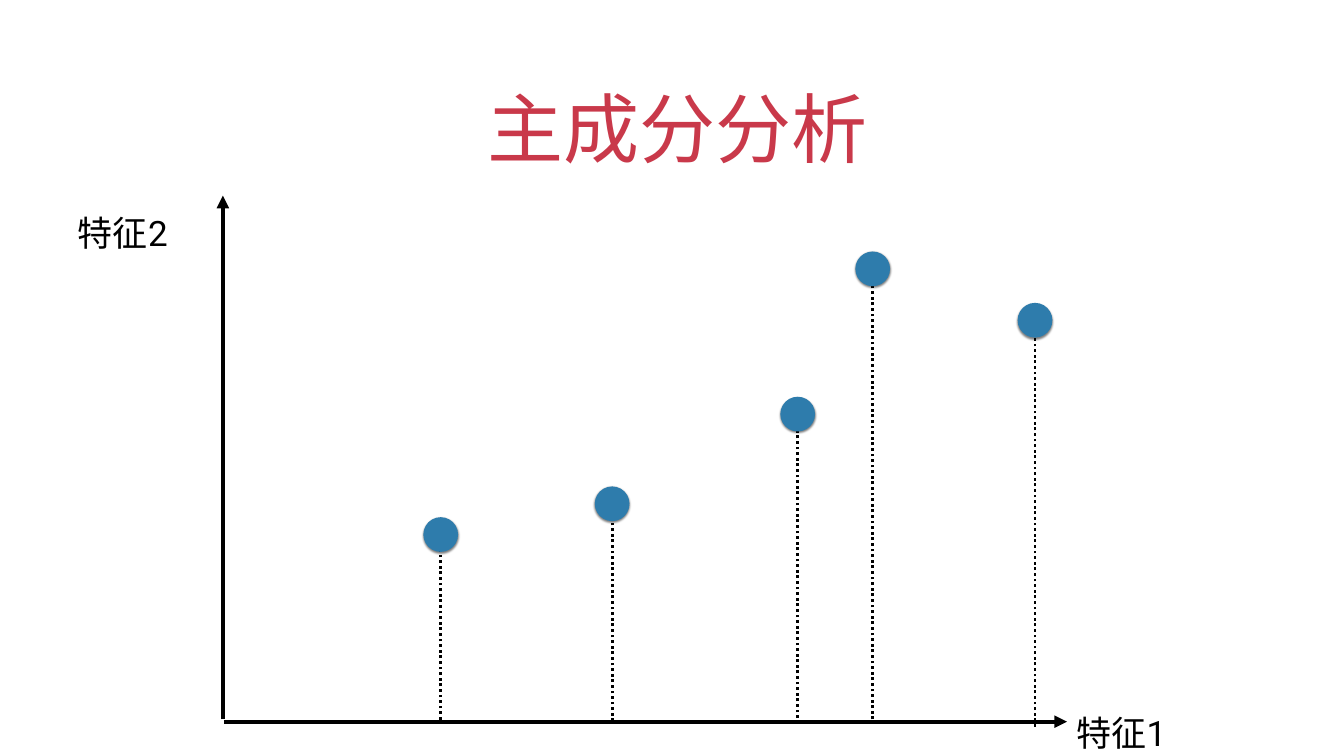
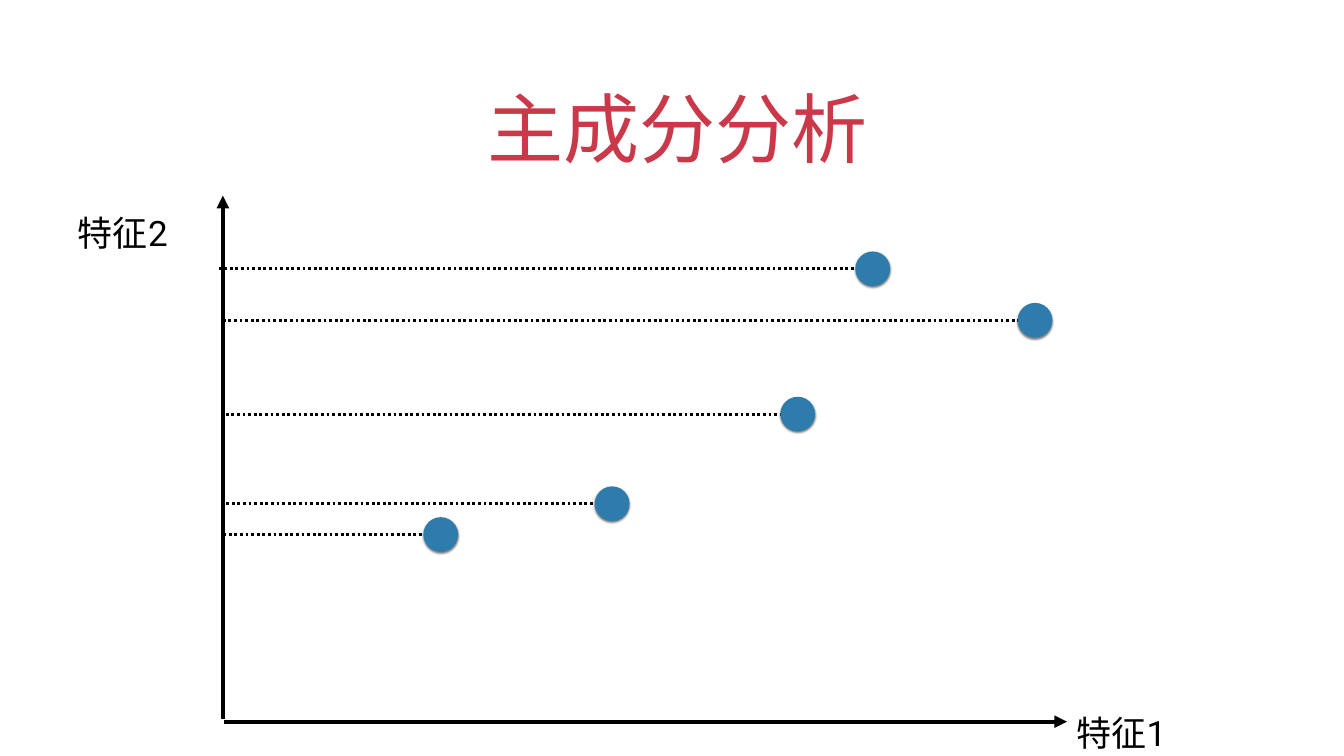
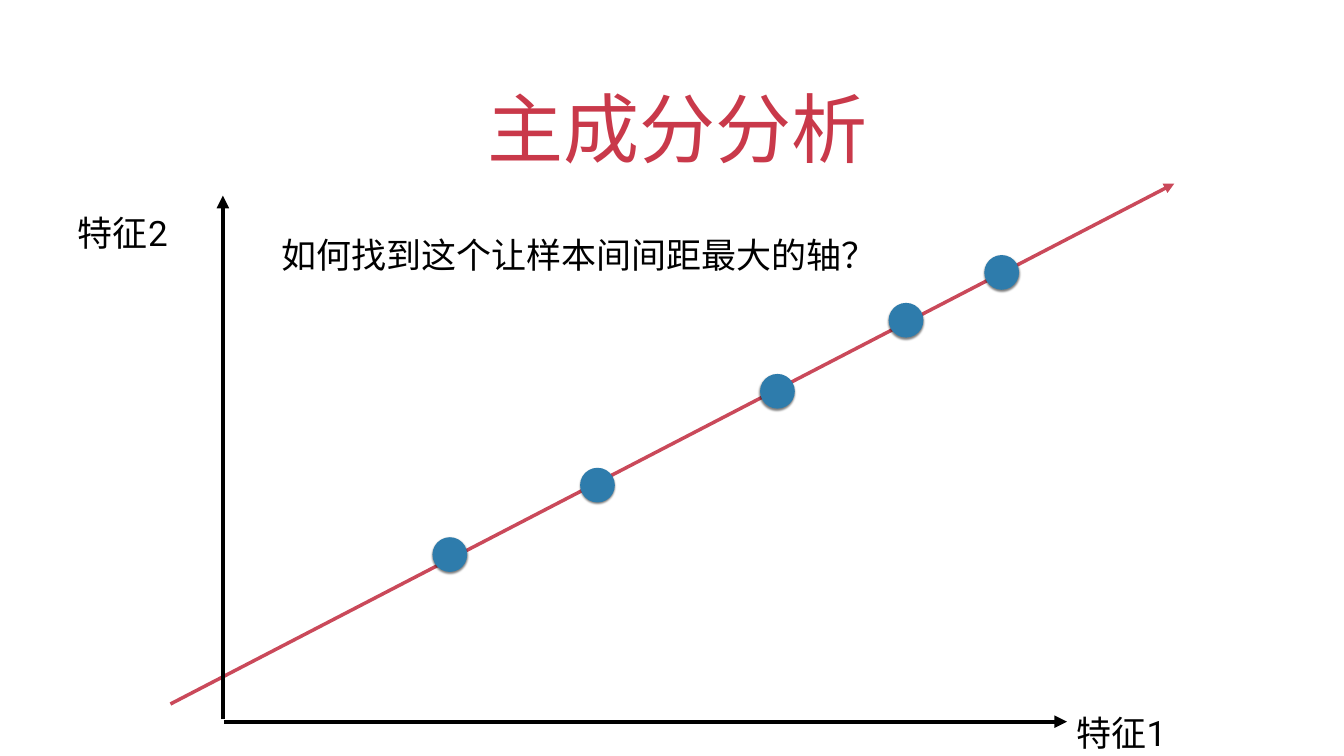
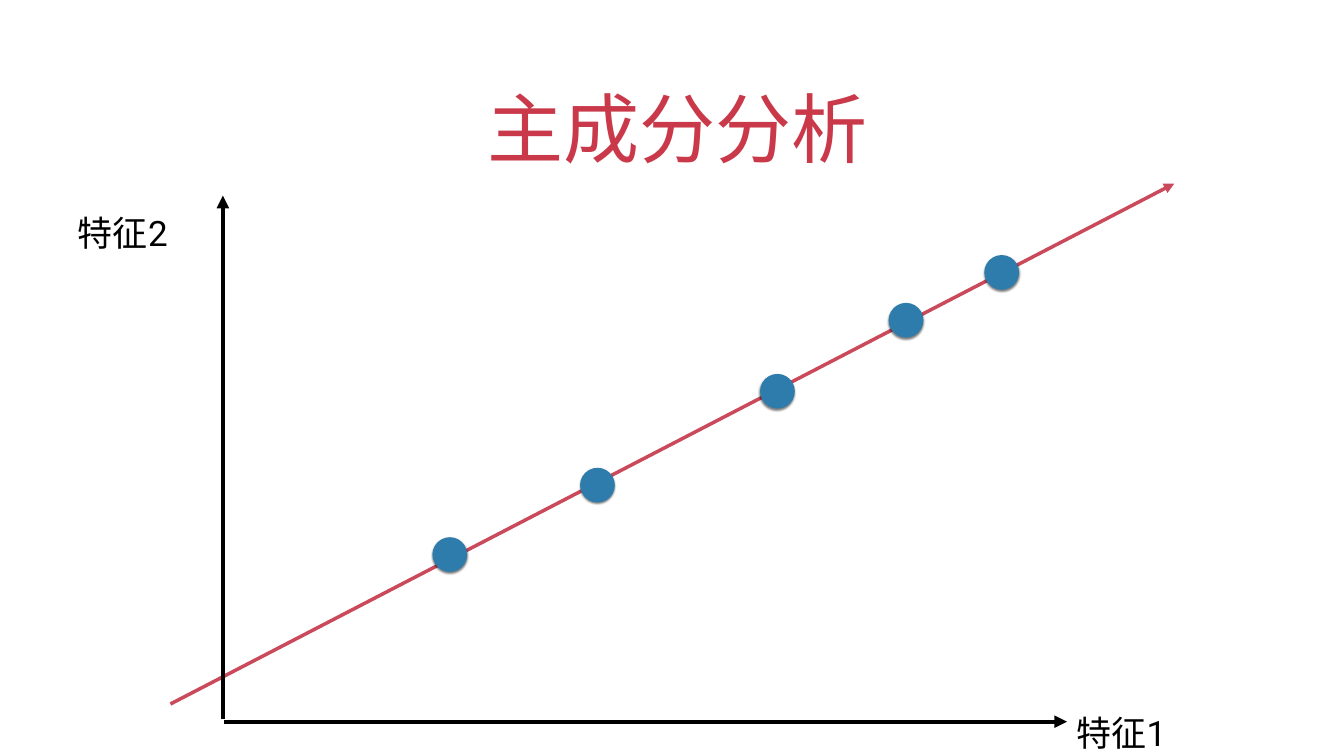
from lxml.etree import SubElement
from pptx import Presentation
from pptx.dml.color import RGBColor
from pptx.enum.dml import MSO_LINE
from pptx.enum.shapes import MSO_CONNECTOR, MSO_SHAPE
from pptx.enum.text import MSO_ANCHOR, MSO_AUTO_SIZE, PP_ALIGN
from pptx.oxml.ns import qn
from pptx.util import Cm, Pt

# Content: all places in centimetres
TITLE = "主成分分析"
TITLE_BOX = (4.93, 3.23, 57.86, 5.64)
QUESTION = ("如何找到这个让样本间间距最大的轴？", (14.02, 11.46, 28.6, 2.74), 1)
AXIS_LABELS = [
    ("特征1", (54.1, 35, 9.86, 2.74), 1.5),
    ("特征2", (3.78, 9.83, 9.86, 2.74), 1.5),
]
AXES = [
    ((11.28, 36.37), (53.77, 36.37)),
    ((11.23, 36.25), (11.23, 9.86)),
]
COMPONENT = ((8.59, 35.48), (59.18, 9.25))

# Each sample: centre x, centre y, foot on axis 1 (y), foot on axis 2 (x)
SAMPLES = [
    (22.21, 26.94, 36.27, 11.25),
    (30.85, 25.39, 36.35, 11.4),
    (40.2, 20.87, 36.47, 11.38),
    (43.98, 13.55, 36.25, 11.02),
    (52.16, 16.14, 36.63, 11.23),
]
PROJECTED = [(22.67, 27.95), (30.11, 24.45), (39.18, 19.72),
             (45.66, 16.14), (50.48, 13.73)]

DROPS_TO_FEATURE_1 = [((x, foot), (x, y)) for x, y, foot, _ in SAMPLES]
DROPS_TO_FEATURE_2 = [((foot, y), (x, y)) for x, y, _, foot in SAMPLES]
SAMPLE_CENTRES = [(x, y) for x, y, _, _ in SAMPLES]

SLIDES = [
    {"drops": DROPS_TO_FEATURE_1, "dots": SAMPLE_CENTRES, "labels": AXIS_LABELS},
    {"drops": DROPS_TO_FEATURE_2, "dots": SAMPLE_CENTRES, "labels": AXIS_LABELS},
    {"component": COMPONENT, "dots": PROJECTED, "labels": AXIS_LABELS + [QUESTION]},
    {"component": COMPONENT, "dots": PROJECTED, "labels": AXIS_LABELS},
]

# Shared style
FONT = "Roboto"
RED, ROSE, BLUE, BLACK = "C9394A", "CA495A", "2E7CAC", "000000"
DOT_SIZE = 1.75
INSET = Cm(0.15)


def colour(hex_code):
    return RGBColor.from_string(hex_code)


def write(frame, text, size, hex_code, anchor):
    frame.word_wrap = True
    frame.vertical_anchor = anchor
    frame.margin_left = frame.margin_right = INSET
    frame.margin_top = frame.margin_bottom = INSET
    paragraph = frame.paragraphs[0]
    run = paragraph.add_run()
    run.text = text
    run.font.name = FONT
    run.font.size = Pt(size)
    run.font.color.rgb = colour(hex_code)
    return paragraph


def add_title(slide):
    title = slide.shapes.title
    title.left, title.top, title.width, title.height = map(Cm, TITLE_BOX)
    paragraph = write(title.text_frame, TITLE, 108.6, RED, MSO_ANCHOR.BOTTOM)
    title.text_frame.auto_size = MSO_AUTO_SIZE.NONE
    paragraph.alignment = PP_ALIGN.CENTER
    properties = paragraph._p.get_or_add_pPr()
    properties.set("marL", "0")
    properties.set("indent", str(Cm(0.61)))


def add_label(slide, text, box, spacing):
    label = slide.shapes.add_textbox(*map(Cm, box))
    paragraph = write(label.text_frame, text, 50, BLACK, MSO_ANCHOR.MIDDLE)
    paragraph.line_spacing = float(spacing)
    label.text_frame.auto_size = MSO_AUTO_SIZE.SHAPE_TO_FIT_TEXT


def add_line(slide, start, end, width, hex_code=BLACK, dotted=False):
    line = slide.shapes.add_connector(MSO_CONNECTOR.STRAIGHT, *map(Cm, start + end))
    line.line.color.rgb = colour(hex_code)
    line.line.width = Pt(width)
    if dotted:
        line.line.dash_style = MSO_LINE.ROUND_DOT
    else:
        SubElement(line.line._get_or_add_ln(), qn("a:tailEnd"), type="triangle")
    SubElement(line._element.spPr, qn("a:effectLst"))


def add_dot(slide, x, y):
    corner = (Cm(x - DOT_SIZE / 2), Cm(y - DOT_SIZE / 2))
    dot = slide.shapes.add_shape(MSO_SHAPE.OVAL, *corner, Cm(DOT_SIZE), Cm(DOT_SIZE))
    dot.fill.solid()
    dot.fill.fore_color.rgb = colour(BLUE)
    dot.line.fill.background()
    # Soft shadow straight below
    dot.shadow.inherit = False
    effects = dot._element.spPr.find(qn("a:effectLst"))
    shadow = SubElement(effects, qn("a:outerShdw"), blurRad=str(Pt(3)),
                        dist=str(Pt(2)), dir="5400000", rotWithShape="0")
    shade = SubElement(shadow, qn("a:srgbClr"), val=BLACK)
    SubElement(shade, qn("a:alpha"), val="50000")


def build_slide(deck, content):
    slide = deck.slides.add_slide(deck.slide_layouts[0])
    subtitle = slide.placeholders[1]._element
    subtitle.getparent().remove(subtitle)

    # Projections and component axis lie behind the dots
    for start, end in content.get("drops", []):
        add_line(slide, start, end, 4, dotted=True)
    if "component" in content:
        add_line(slide, *content["component"], 5, ROSE)
    add_title(slide)
    for start, end in AXES:
        add_line(slide, start, end, 6)
    for label in content["labels"]:
        add_label(slide, *label)
    for centre in content["dots"]:
        add_dot(slide, *centre)


def main():
    deck = Presentation()
    deck.slide_width, deck.slide_height = Cm(67.73), Cm(38.1)
    for content in SLIDES:
        build_slide(deck, content)
    deck.save("out.pptx")


if __name__ == "__main__":
    main()
